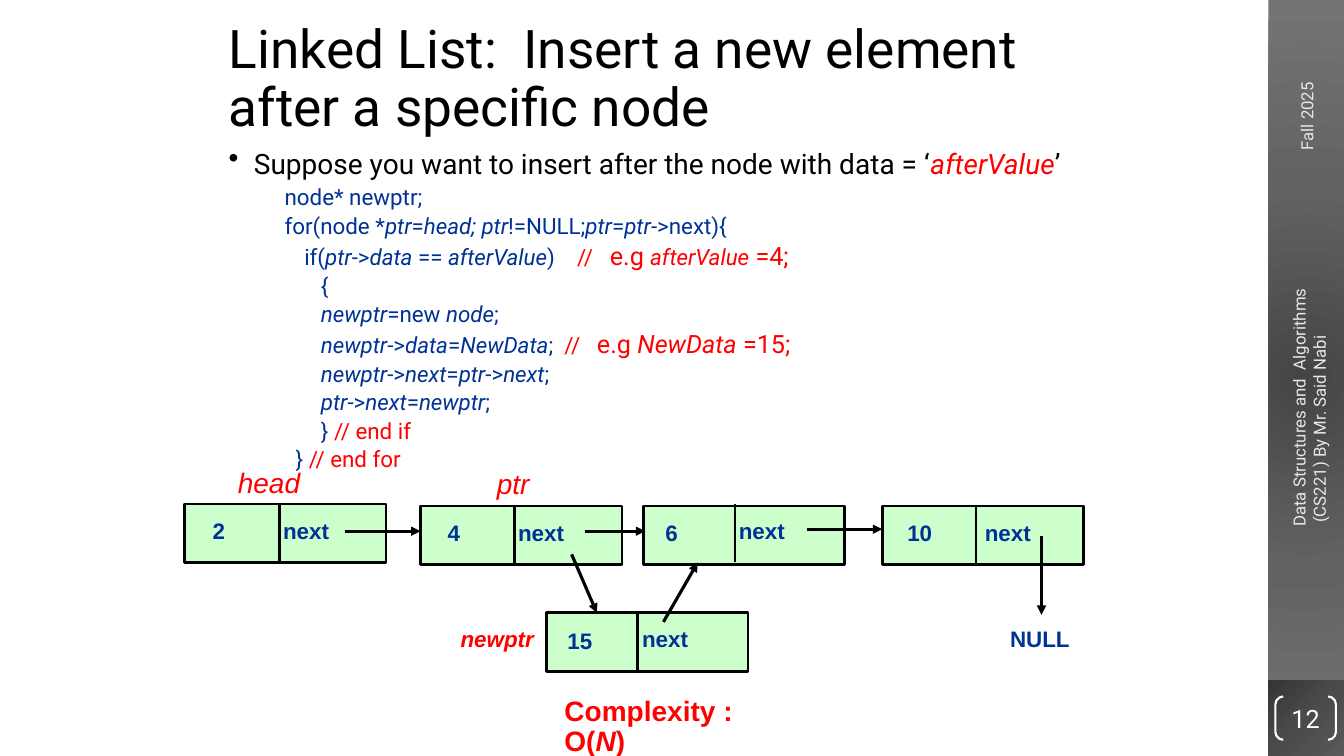
from lxml.etree import SubElement
from pptx import Presentation
from pptx.dml.color import RGBColor
from pptx.enum.shapes import MSO_CONNECTOR, MSO_SHAPE
from pptx.enum.text import MSO_ANCHOR, MSO_AUTO_SIZE, PP_ALIGN
from pptx.oxml import parse_xml
from pptx.oxml.ns import nsdecls, qn
from pptx.util import Pt

PX = 9144  # 100 px to the inch
BLACK = RGBColor(0x00, 0x00, 0x00)
WHITE = RGBColor(0xFF, 0xFF, 0xFF)
RED = RGBColor(0xFF, 0x00, 0x00)
NAVY = RGBColor(0x00, 0x32, 0x96)
MINT = RGBColor(0xCC, 0xFF, 0xCC)
PALE = RGBColor(0xE8, 0xE8, 0xE8)

prs = Presentation()
prs.slide_width, prs.slide_height = 1333 * PX, 750 * PX
s = prs.slides.add_slide(prs.slide_layouts[6])


def add_text(box, paragraphs, font, bold=False, wrap=True):
    """Put a text box at box; paragraphs hold (text, size, colour) pieces, with _ switching italics."""
    sp = s.shapes.add_textbox(*(n * PX for n in box))
    tf = sp.text_frame
    tf.word_wrap = wrap
    for i, pieces in enumerate(paragraphs):
        p = tf.add_paragraph() if i else tf.paragraphs[0]
        for text, size, colour in pieces:
            for j, part in enumerate(text.split("_")):
                if part:
                    r = p.add_run()
                    r.text = part
                    r.font.name, r.font.size = font, Pt(size)
                    r.font.bold, r.font.italic = bold, j % 2 == 1
                    r.font.color.rgb = colour
    return sp


def add_line(x1, y1, x2, y2, width, arrow=False):
    c = s.shapes.add_connector(MSO_CONNECTOR.STRAIGHT, x1 * PX, y1 * PX, x2 * PX, y2 * PX)
    c.line.color.rgb = BLACK
    c.line.width = Pt(width)
    spPr = c._element.spPr
    if arrow:
        SubElement(spPr.find(qn("a:ln")), qn("a:tailEnd"), type="triangle")
    SubElement(spPr, qn("a:effectLst"))


# Sidebar: centre of each radial gradient is given by its l, t, r, b percentages
panels = [
    (0, 750, ("454545", "626262", "747474"), (50, 50, 50, 50)),
    (675, 75, ("353535", "4B4B4B", "595959"), (0, 0, 100, 100)),
]
for top, height, shades, focus in panels:
    sp = s.shapes.add_shape(MSO_SHAPE.RECTANGLE, 1258 * PX, top * PX, 75 * PX, height * PX)
    sp.shadow.inherit = False
    sp.line.fill.background()
    stops = "".join(f'<a:gs pos="{i * 50000}"><a:srgbClr val="{shade}"/></a:gs>'
                    for i, shade in enumerate(shades))
    sides = " ".join(f'{side}="{n * 1000}"' for side, n in zip("ltrb", focus))
    gradient = parse_xml(f'<a:gradFill {nsdecls("a")} rotWithShape="1"><a:gsLst>{stops}</a:gsLst>'
                         f'<a:path path="circle"><a:fillToRect {sides}/></a:path></a:gradFill>')
    sp._element.spPr.find(qn("a:prstGeom")).addnext(gradient)

footers = [
    ((1225, 73, 142, 30), ["Fall 2025"]),
    ((1165, 374, 267, 50), ["Data Structures and  Algorithms", " (CS221) By Mr. Said Nabi"]),
]
for box, lines in footers:
    sp = add_text(box, [[(line, 12, PALE)] for line in lines], "Roboto")
    sp.rotation = 270

sp = s.shapes.add_shape(MSO_SHAPE.DOUBLE_BRACKET, 1265 * PX, 691 * PX, 60 * PX, 43 * PX)
sp.shadow.inherit = False
sp.adjustments[0] = 0.18
sp.fill.background()
sp.line.color.rgb = WHITE
sp.line.width = Pt(1.5)
tf = sp.text_frame
tf.margin_left = tf.margin_top = tf.margin_right = tf.margin_bottom = 0
tf.vertical_anchor = MSO_ANCHOR.MIDDLE
tf.text = "12"
p = tf.paragraphs[0]
p.alignment = PP_ALIGN.CENTER
r = p.runs[0]
r.font.name, r.font.size = "Roboto", Pt(18)
r.font.color.rgb = WHITE

# Title and code
title = add_text((217, 17, 900, 125),
                 [[("Linked List:  Insert a new element after a specific node", 38, BLACK)]], "Roboto")
title.text_frame.vertical_anchor = MSO_ANCHOR.MIDDLE
title.text_frame.paragraphs[0].line_spacing = 0.9

code = [
    [("Suppose you want to insert after the node with data = ‘", 20, BLACK),
     ("_afterValue_", 20, RED), ("’", 20, BLACK), (" ", 28, NAVY)],
    [(" node* newptr;", 16, NAVY)],
    [(" for(node *_ptr_=_head; ptr_!=NULL;_ptr_=_ptr_->next){", 16, NAVY)],
    [("\tif(_ptr_->_data _== _afterValue_)    ", 16, NAVY), ("//   ", 16, RED),
     ("e.g ", 18, RED), ("_afterValue_", 16, RED), (" =4;", 18, RED)],
    [("\t   {", 16, NAVY)],
    [("\t   _newptr_=new _node_;", 16, NAVY)],
    [("\t   _newptr_->_data_=_NewData_;  ", 16, NAVY), ("//   ", 16, RED),
     ("e.g _NewData_ =15;", 18, RED)],
    [("\t   _newptr_->_next_=_ptr_->_next_;", 16, NAVY)],
    [("\t   _ptr_->_next_=_newptr_;", 16, NAVY)],
    [("\t   } ", 16, NAVY), ("// end if", 16, RED)],
    [("   } ", 16, NAVY), ("// end for", 16, RED)],
]
body = add_text((217, 138, 900, 312), code, "Roboto")
for i, p in enumerate(body.text_frame.paragraphs):
    p.line_spacing = 0.8
    pPr = p._p.get_or_add_pPr()
    pPr.set("marL", str((75 if i else 25) * PX))
    pPr.set("indent", str(-25 * PX))
    if i:
        p.level = 1
        p.space_before = Pt(5)
    else:
        SubElement(pPr, qn("a:buFont"), typeface="Arial")
        SubElement(pPr, qn("a:buChar"), char="•")

# List nodes: left, top, value and its place, divider place, "next" place
nodes = [
    (183, 500, "2", (201, 508, 32), (277, 500), (271, 508)),
    (417, 502, "4", (434, 510, 32), (510, 502), (504, 510)),
    (638, 502, "6", (650, 510, 32), (729, 500), (723, 508)),
    (875, 502, "10", (890, 510, 45), (968, 502), (967, 510)),
    (542, 608, "15", (553, 617, 45), (632, 607), (627, 615)),
]
labels = []
for left, top, value, value_at, (div_x, div_y), next_at in nodes:
    sp = s.shapes.add_shape(MSO_SHAPE.RECTANGLE, left * PX, top * PX, 200 * PX, 58 * PX)
    sp.shadow.inherit = False
    sp.fill.solid()
    sp.fill.fore_color.rgb = MINT
    sp.line.color.rgb = BLACK
    sp.line.width = Pt(2)
    add_line(div_x, div_y + 58, div_x, div_y, 2)
    labels += [((*value_at, 37), value, 16, NAVY, True),
               ((*next_at, 66, 37), "next", 16, NAVY, True)]

labels += [
    ((226, 457, 82, 43), "_head_", 20, RED, False),
    ((483, 458, 60, 43), "_ptr_", 20, RED, False),
    ((447, 615, 93, 37), "_newptr_", 16, RED, True),
    ((992, 615, 79, 37), "NULL", 16, NAVY, True),
]
for box, text, size, colour, bold in labels:
    sp = add_text(box, [[(text, size, colour)]], "Arial", bold, wrap=False)
    sp.text_frame.auto_size = MSO_AUTO_SIZE.SHAPE_TO_FIT_TEXT

arrows = [
    (342, 527, 417, 527),
    (580, 527, 640, 527),
    (800, 525, 875, 525),
    (1033, 532, 1033, 610),
    (567, 550, 592, 608),
    (658, 617, 692, 558),
]
for ends in arrows:
    add_line(*ends, 2.25, arrow=True)

complexity = add_text((550, 687, 250, 40), [[("Complexity : O(_N_)", 20, RED)]], "Arial", bold=True)
complexity.text_frame.paragraphs[0].line_spacing = 0.9

prs.save("out.pptx")
